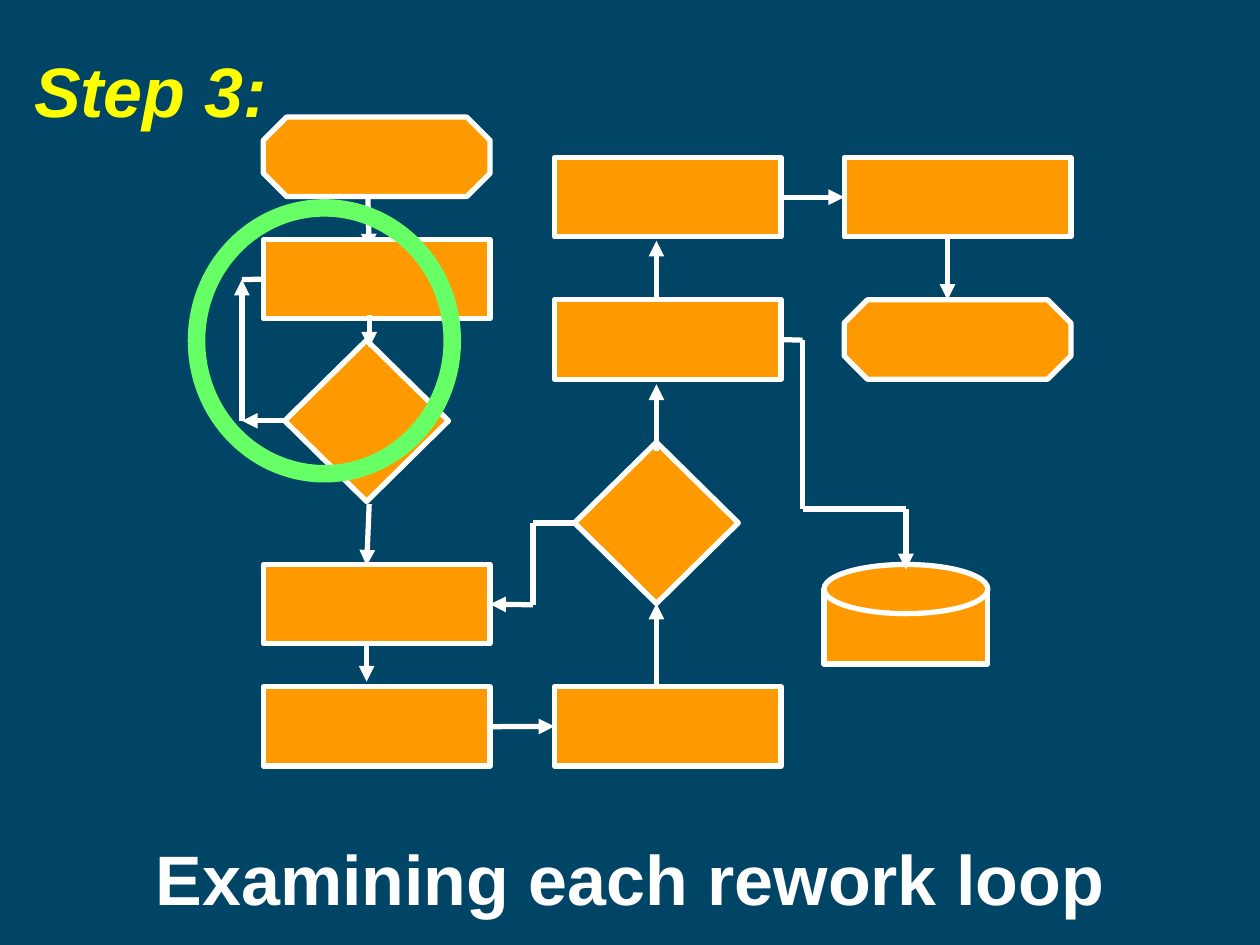
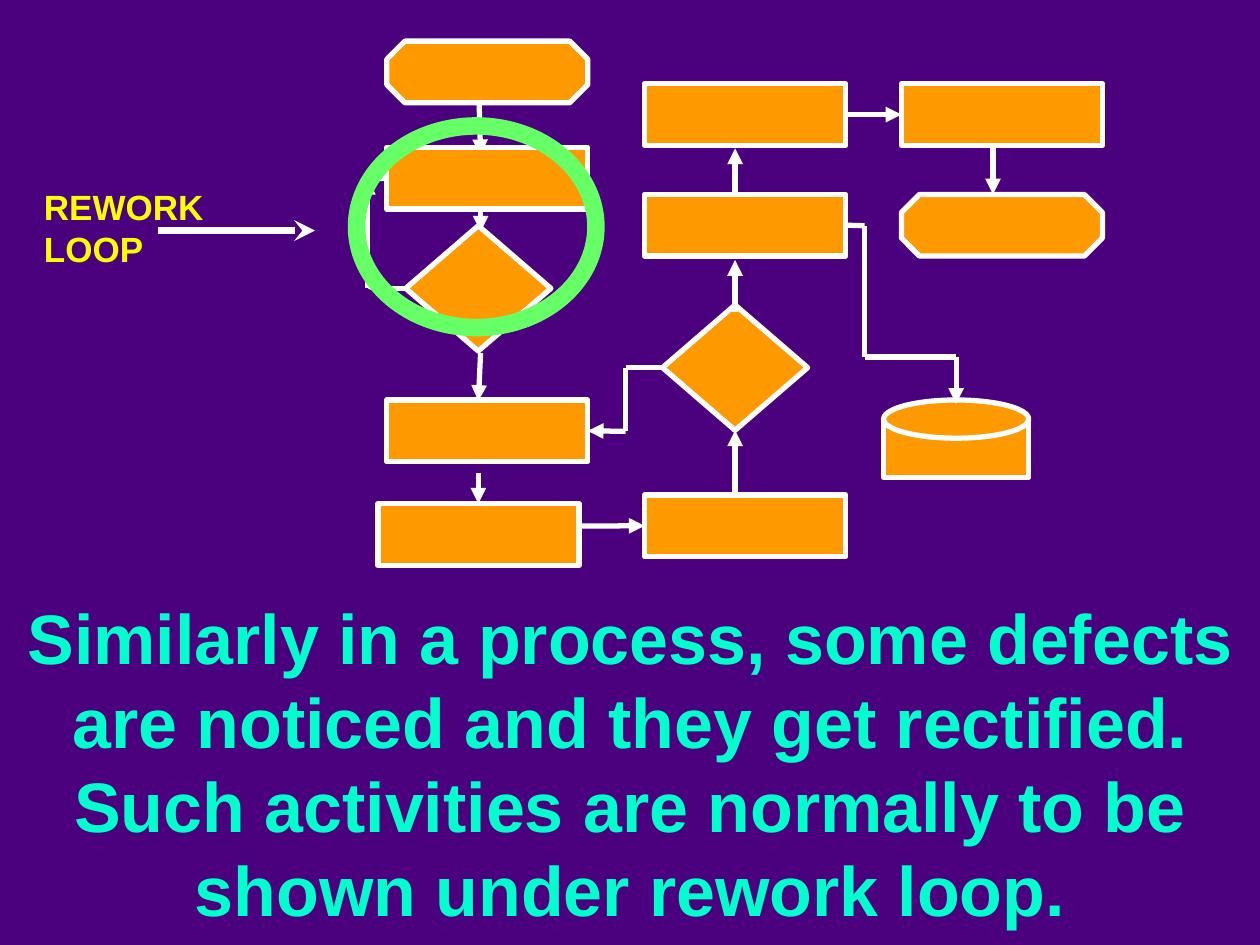
from dataclasses import dataclass, field

from lxml.etree import SubElement
from pptx import Presentation
from pptx.dml.color import RGBColor
from pptx.enum.shapes import MSO_CONNECTOR, MSO_SHAPE
from pptx.enum.text import MSO_ANCHOR, PP_ALIGN
from pptx.oxml.ns import qn
from pptx.util import Inches, Pt


@dataclass(frozen=True)
class Theme:
    """Colours, font and sizes shared by the slides."""
    font: str = "Arial"
    large: int = 40
    label: int = 20
    teal: str = "004466"
    purple: str = "4B007E"
    white: str = "FFFFFF"
    yellow: str = "FFFF00"
    aqua: str = "00FFCC"
    step: str = "FF9900"
    ring: str = "66FF66"
    thin: int = 3
    medium: int = 4
    thick: int = 10


@dataclass(frozen=True)
class Frame:
    """Place and scale of the flowchart, with parts that are moved."""
    left: float = 2.09
    top: float = 1.9
    scale_x: float = 1
    scale_y: float = 1
    shifts: dict = field(default_factory=dict)

    def place(self, x, y, name=""):
        """Convert a flowchart point to slide inches."""
        shift_x, shift_y = self.shifts.get(name, (0, 0))
        return (self.left + (x - LEFT_COLUMN) * self.scale_x + shift_x,
                self.top + (y - 1.9) * self.scale_y + shift_y)


@dataclass(frozen=True)
class Segment:
    """A line between points or (step, side) joints."""
    start: tuple
    end: tuple
    arrow: bool = True
    behind: bool = False
    name: str = ""


THEME = Theme()
LEFT_COLUMN, MIDDLE_COLUMN, RIGHT_COLUMN = 2.09, 4.4, 6.7
TOP, LEFT, BOTTOM, RIGHT = range(4)
BOX, DIAMOND = (1.8, 0.63), (1.3, 1.28)

STEPS = {
    "start": (MSO_SHAPE.OCTAGON, LEFT_COLUMN, 0.93, *BOX),
    "work": (MSO_SHAPE.RECTANGLE, LEFT_COLUMN, 1.9, *BOX),
    "first check": (MSO_SHAPE.DIAMOND, 2.26, 2.7, *DIAMOND),
    "continue": (MSO_SHAPE.RECTANGLE, LEFT_COLUMN, 4.48, *BOX),
    "prepare": (MSO_SHAPE.RECTANGLE, LEFT_COLUMN, 5.45, *BOX),
    "assemble": (MSO_SHAPE.RECTANGLE, MIDDLE_COLUMN, 5.45, *BOX),
    "second check": (MSO_SHAPE.DIAMOND, 4.56, 3.51, *DIAMOND),
    "record": (MSO_SHAPE.RECTANGLE, MIDDLE_COLUMN, 2.38, *BOX),
    "pack": (MSO_SHAPE.RECTANGLE, MIDDLE_COLUMN, 1.25, *BOX),
    "deliver": (MSO_SHAPE.RECTANGLE, RIGHT_COLUMN, 1.25, *BOX),
    "finish": (MSO_SHAPE.OCTAGON, RIGHT_COLUMN, 2.38, *BOX),
    "store body": (MSO_SHAPE.RECTANGLE, 6.54, 4.68, 1.3, 0.59),
    "store lid": (MSO_SHAPE.OVAL, 6.54, 4.48, 1.3, 0.39),
}

SEGMENTS = [
    Segment((2.91, 1.17), (2.93, 1.98), behind=True),
    Segment((2.93, 2.5), (2.93, 2.76)),
    Segment(("first check", LEFT), (1.92, 3.34)),
    Segment((1.92, 3.34), (1.92, 2.22)),
    Segment((1.92, 2.22), ("work", LEFT), arrow=False),
    Segment((2.93, 4), (2.91, 4.49)),
    Segment((2.91, 5.1), (2.91, 5.41), name="prepare arrow"),
    Segment((3.4, 5.77), ("assemble", LEFT), behind=True),
    Segment((5.21, 5.45), ("second check", BOTTOM)),
    Segment(("second check", LEFT), (4.23, 4.15), arrow=False),
    Segment((4.23, 4.15), (4.23, 4.8), arrow=False),
    Segment((4.23, 4.8), ("continue", RIGHT)),
    Segment((5.21, 3.58), (5.21, 3.05)),
    Segment((5.21, 2.37), (5.21, 1.91)),
    Segment(("record", RIGHT), (6.37, 2.7), arrow=False),
    Segment((6.37, 2.7), (6.37, 4.04), arrow=False),
    Segment((6.37, 4.04), (7.19, 4.04), arrow=False),
    Segment((7.19, 4.04), (7.19, 4.52)),
    Segment(("pack", RIGHT), ("deliver", LEFT)),
    Segment((7.52, 1.89), (7.52, 2.38)),
]


def color(value):
    """Turn a hex string into a colour."""
    return RGBColor.from_string(value)


def add_slide(presentation, background):
    """Add a title slide with a plain background."""
    slide = presentation.slides.add_slide(presentation.slide_layouts[5])
    slide.background.fill.solid()
    slide.background.fill.fore_color.rgb = color(background)
    return slide


def write_text(shape, box, text, size, text_color,
               align=PP_ALIGN.LEFT, italic=False):
    """Place a text shape and format its single paragraph."""
    shape.left, shape.top, shape.width, shape.height = map(Inches, box)
    frame = shape.text_frame
    frame.text = text
    frame.word_wrap = True
    frame.vertical_anchor = MSO_ANCHOR.TOP
    paragraph = frame.paragraphs[0]
    paragraph.alignment = align
    font = paragraph.runs[0].font
    font.name, font.size = THEME.font, Pt(size)
    font.bold, font.italic = True, italic
    font.color.rgb = color(text_color)


def add_text(slide, box, *style, **options):
    """Add a text box."""
    write_text(slide.shapes.add_textbox(*map(Inches, box)), box, *style, **options)


def add_outlined(slide, kind, box, line_color, width, fill=None):
    """Add a preset shape with an outline and an optional fill."""
    shape = slide.shapes.add_shape(kind, *map(Inches, box))
    shape.shadow.inherit = False
    if fill:
        shape.fill.solid()
        shape.fill.fore_color.rgb = color(fill)
    else:
        shape.fill.background()
    shape.line.color.rgb = color(line_color)
    shape.line.width = Pt(width)
    return shape


def add_line(slide, start, end, width=THEME.thin, arrowhead=None):
    """Add a straight white connector."""
    connector = slide.shapes.add_connector(
        MSO_CONNECTOR.STRAIGHT, *map(Inches, (*start, *end)))
    connector.line.color.rgb = color(THEME.white)
    connector.line.width = Pt(width)
    properties = connector._element.spPr
    if arrowhead:
        SubElement(properties.find(qn("a:ln")), qn("a:tailEnd"), type=arrowhead)
    SubElement(properties, qn("a:effectLst"))
    return connector


def add_segment(slide, frame, shapes, segment):
    """Add a flowchart line and join its ends to steps."""
    ends = (segment.start, segment.end)
    joined = [end[0] in shapes for end in ends]
    points = [(0, 0) if joint else frame.place(*end, segment.name)
              for end, joint in zip(ends, joined)]
    connector = add_line(slide, *points,
                         arrowhead="triangle" if segment.arrow else None)
    for end, joint, connect in zip(
            ends, joined, (connector.begin_connect, connector.end_connect)):
        if joint:
            connect(shapes[end[0]], end[1])
    if segment.behind:
        slide.shapes._spTree.insert(2, connector._element)


def add_flowchart(slide, frame):
    """Draw the process flowchart in a frame."""
    shapes = {}
    for name, (kind, x, y, width, height) in STEPS.items():
        box = (*frame.place(x, y, name),
               width * frame.scale_x, height * frame.scale_y)
        shapes[name] = add_outlined(
            slide, kind, box, THEME.white, THEME.thin, THEME.step)
    for segment in SEGMENTS:
        add_segment(slide, frame, shapes, segment)


def add_ring(slide, box):
    """Circle the rework loop."""
    add_outlined(slide, MSO_SHAPE.OVAL, box, THEME.ring, THEME.thick)


def add_examining_slide(presentation):
    """Build the slide on examining rework loops."""
    slide = add_slide(presentation, THEME.teal)
    write_text(slide.shapes.title, (0.17, 0.33, 3.08, 0.77), "Step 3:",
               THEME.large, THEME.yellow, italic=True)
    add_text(slide, (0.5, 6.58, 9, 0.77), "Examining each rework loop",
             THEME.large, THEME.white, align=PP_ALIGN.CENTER)
    add_flowchart(slide, Frame())
    add_ring(slide, (1.56, 1.65, 2.03, 2.11))


def add_rectified_slide(presentation):
    """Build the slide that explains the rework loop."""
    slide = add_slide(presentation, THEME.purple)
    write_text(slide.shapes.title, (0, 4.67, 10, 2.77),
               "Similarly in a process, some defects are noticed and they get "
               "rectified. Such activities are normally to be shown under "
               "rework loop.",
               THEME.large, THEME.aqua, align=PP_ALIGN.CENTER)
    add_text(slide, (0.25, 1.42, 2.08, 0.77), "REWORK LOOP",
             THEME.label, THEME.yellow)
    shifts = {"start": (0, -0.09), "prepare": (-0.07, 0.07),
              "prepare arrow": (0, 0.1)}
    add_flowchart(slide, Frame(3.07, 1.17, 0.886, 0.777, shifts))
    add_ring(slide, (2.83, 1, 1.9, 1.6))
    add_line(slide, (1.25, 1.83), (2.5, 1.83), THEME.medium, "stealth")


def main():
    """Build and save the presentation."""
    presentation = Presentation()
    presentation.slide_width, presentation.slide_height = Inches(10), Inches(7.5)
    add_examining_slide(presentation)
    add_rectified_slide(presentation)
    presentation.save("out.pptx")


if __name__ == "__main__":
    main()
